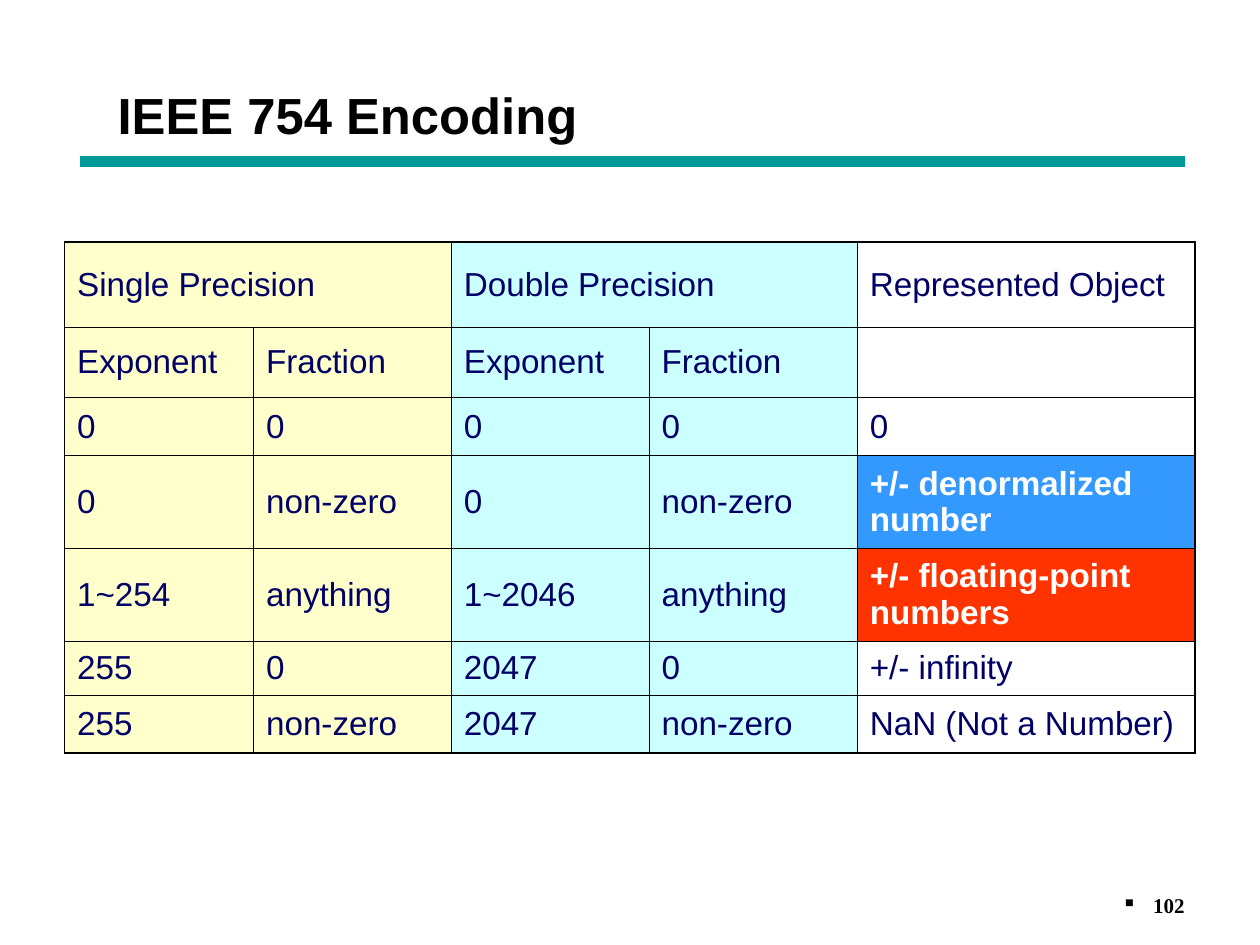
import pptx
import pptx.util
import pptx.dml.color
import pptx.enum.shapes
import pptx.enum.text
import pptx.oxml.ns
from lxml import etree

Pt = pptx.util.Pt
qn = pptx.oxml.ns.qn
ALIGN = pptx.enum.text.PP_ALIGN
ANCHOR = pptx.enum.text.MSO_ANCHOR

COLORS = {
    "black": "000000", "white": "FFFFFF", "teal": "009999", "navy": "000066",
    "single": "FFFFCC", "double": "CCFFFF", "denormal": "3399FF", "normal": "FF3300",
}
OUTER, INNER = 1.08, 0.45


def rgb(name):
    return pptx.dml.color.RGBColor.from_string(COLORS[name])


def write(tf, text, size=19, font="Arial", color="navy", bold=False,
          align=ALIGN.LEFT, bullet=None, indent=0):
    """Fill the first paragraph of a text frame with one formatted run."""
    p = tf.paragraphs[0]
    p.alignment = align
    if bullet:
        pPr = p._p.get_or_add_pPr()
        pPr.set("marL", str(Pt(indent)))
        pPr.set("indent", str(-Pt(indent)))
        etree.SubElement(pPr, qn("a:buChar")).set("char", bullet)
    r = p.add_run()
    r.text = text
    r.font.size, r.font.name, r.font.bold = Pt(size), font, bold
    r.font.color.rgb = rgb(color)


class SlideBuilder:
    """Holds the current slide and draws its elements, measured in points."""

    def __init__(self, prs):
        self.s = prs.slides.add_slide(prs.slide_layouts[5])

    def title(self, text, x, y, w, h):
        sp = self.s.shapes.title
        sp.left, sp.top, sp.width, sp.height = Pt(x), Pt(y), Pt(w), Pt(h)
        tf = sp.text_frame
        tf.auto_size = pptx.enum.text.MSO_AUTO_SIZE.NONE
        tf.vertical_anchor = ANCHOR.TOP
        tf.margin_top = Pt(6)
        write(tf, text, size=29, color="black", bold=True)

    def rule(self, x1, x2, y, color, width):
        line = self.s.shapes.add_connector(
            pptx.enum.shapes.MSO_CONNECTOR.STRAIGHT, Pt(x1), Pt(y), Pt(x2), Pt(y))
        line.line.color.rgb = rgb(color)
        line.line.width = Pt(width)
        etree.SubElement(line._element.spPr, qn("a:effectLst"))

    def page_number(self, text, x, y, w, h):
        tf = self.s.shapes.add_textbox(Pt(x), Pt(y), Pt(w), Pt(h)).text_frame
        tf.word_wrap = True
        tf.vertical_anchor = ANCHOR.BOTTOM
        write(tf, text, size=12, font="Times New Roman", color="black",
              bold=True, align=ALIGN.RIGHT, bullet="▪", indent=18)

    def borders(self, cell, widths):
        tcPr = cell._tc.get_or_add_tcPr()
        for i, (side, width) in enumerate(zip("LRTB", widths)):
            ln = etree.Element(qn("a:ln" + side), w=str(Pt(width)))
            fill = etree.SubElement(ln, qn("a:solidFill"))
            etree.SubElement(fill, qn("a:srgbClr"), val=COLORS["black"])
            tcPr.insert(i, ln)

    def table(self, x, y, cols, rows, texts, fills, highlights, spans):
        tbl = self.s.shapes.add_table(
            len(rows), len(cols), Pt(x), Pt(y), Pt(sum(cols)), Pt(sum(rows))).table
        tbl.first_row = tbl.horz_banding = False
        for column, width in zip(tbl.columns, cols):
            column.width = Pt(width)
        for row, height in zip(tbl.rows, rows):
            row.height = Pt(height)
        for r, c in spans:
            tbl.cell(r, c).merge(tbl.cell(r, c + 1))

        last_r, last_c = len(rows) - 1, len(cols) - 1
        for r, row in enumerate(texts):
            for c, text in enumerate(row):
                cell = tbl.cell(r, c)
                cell.vertical_anchor = ANCHOR.MIDDLE
                strong = highlights.get((r, c))
                fill = strong or fills[c]
                if fill:
                    cell.fill.solid()
                    cell.fill.fore_color.rgb = rgb(fill)
                else:
                    cell.fill.background()
                if text:
                    write(cell.text_frame, text, bold=bool(strong),
                          color="white" if strong else "navy")
                edges = (c == 0, c == last_c, r == 0, r == last_r)
                self.borders(cell, [OUTER if edge else INNER for edge in edges])


def main():
    prs = pptx.Presentation()
    prs.slide_width, prs.slide_height = Pt(720), Pt(540)
    slide = SlideBuilder(prs)

    # Heading and page number
    slide.rule(46, 677, 92.2, "teal", 6)
    slide.title("IEEE 754 Encoding", 60, 42, 390, 83.5)
    slide.page_number("102", 516, 492, 168, 36)

    # Encoding table
    slide.table(
        36.9, 138.4,
        cols=[108, 113, 113, 119, 193],
        rows=[48.5, 40.5, 33, 53, 53, 31, 33],
        texts=[
            ["Single Precision", "", "Double Precision", "", "Represented Object"],
            ["Exponent", "Fraction", "Exponent", "Fraction", ""],
            ["0", "0", "0", "0", "0"],
            ["0", "non-zero", "0", "non-zero", "+/- denormalized number"],
            ["1~254", "anything", "1~2046", "anything", "+/- floating-point numbers"],
            ["255", "0", "2047", "0", "+/- infinity"],
            ["255", "non-zero", "2047", "non-zero", "NaN (Not a Number)"],
        ],
        fills=["single", "single", "double", "double", None],
        highlights={(3, 4): "denormal", (4, 4): "normal"},
        spans=[(0, 0), (0, 2)],
    )
    prs.save("out.pptx")


if __name__ == "__main__":
    main()
